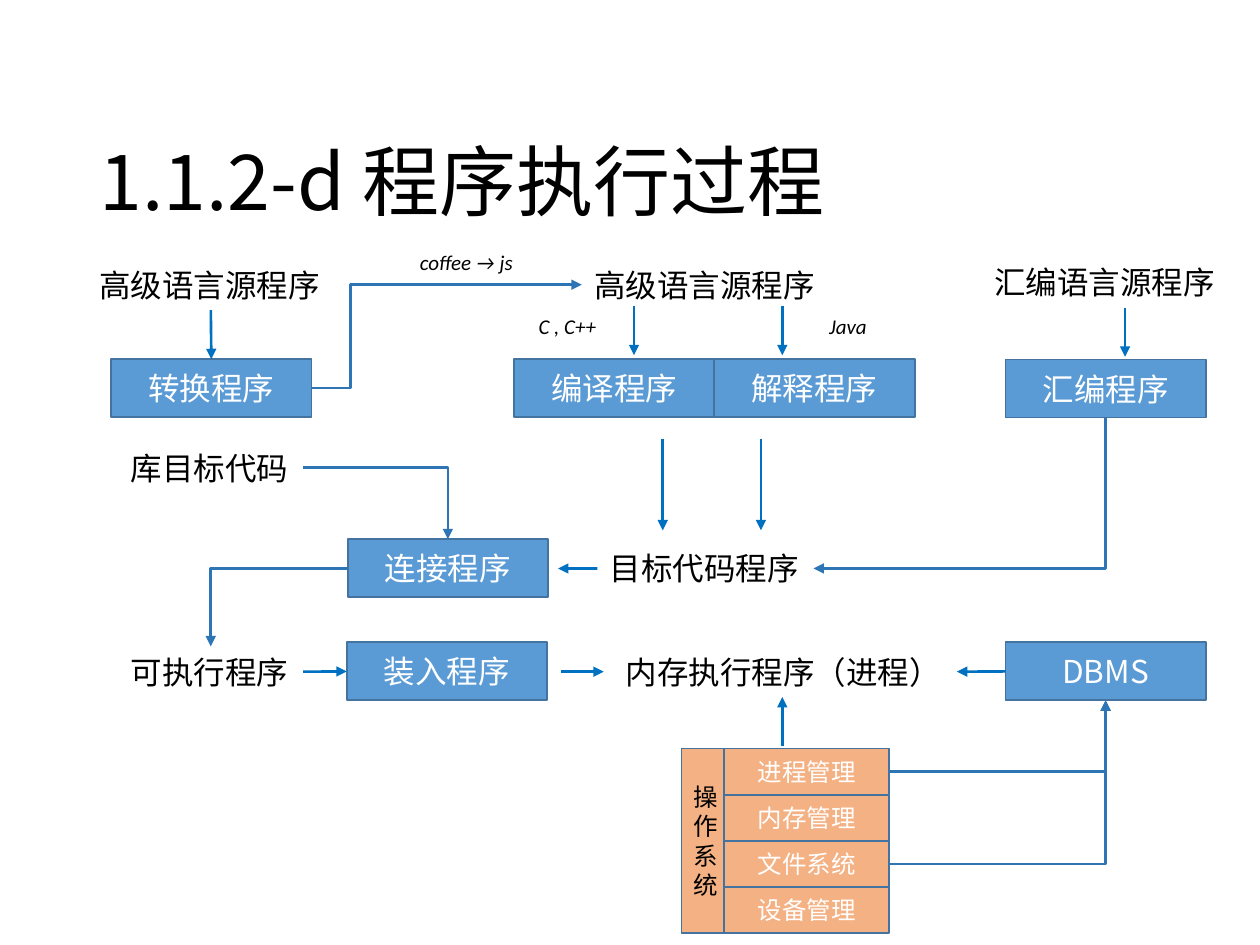
from pptx import Presentation
from pptx.dml.color import RGBColor
from pptx.enum.shapes import MSO_CONNECTOR, MSO_SHAPE
from pptx.enum.text import MSO_ANCHOR, MSO_AUTO_SIZE, PP_ALIGN
from pptx.oxml.ns import qn
from pptx.util import Cm, Pt
from lxml.etree import SubElement

CJK, LATIN = "Noto Sans CJK SC", "Calibri"
BLUE, ORANGE, EDGE = "5B9BD5", "F4B183", "43739E"
ARROW, ELBOW = "0070C0", "2E75B6"
WHITE, BLACK = "FFFFFF", "000000"
TOP, LEFT, BOTTOM, RIGHT = range(4)


def rgb(value):
    """Turn a hex string into a colour."""
    return RGBColor.from_string(value)


def write(tf, text, size, color, font=CJK, align=None, italic=None):
    """Put one formatted line of text into a frame."""
    tf.text = text
    p = tf.paragraphs[0]
    p.alignment = align
    r = p.runs[0]
    r.font.size, r.font.name, r.font.italic = Pt(size), font, italic
    r.font.color.rgb = rgb(color)
    SubElement(r.font._element, qn("a:ea"), typeface=font)


def place(sp, x, y, w, h):
    """Set the position and size of a shape in centimetres."""
    sp.left, sp.top, sp.width, sp.height = Cm(x), Cm(y), Cm(w), Cm(h)


def add_box(shapes, text, x, y, w=4.04, h=1.17, fill=BLUE, size=18, color=WHITE):
    """Add a filled rectangle with centred text."""
    sp = shapes.add_shape(MSO_SHAPE.RECTANGLE, Cm(x), Cm(y), Cm(w), Cm(h))
    sp.shadow.inherit = False
    sp.fill.solid()
    sp.fill.fore_color.rgb = rgb(fill)
    sp.line.color.rgb = rgb(EDGE)
    sp.line.width = Pt(1)
    sp.text_frame.vertical_anchor = MSO_ANCHOR.MIDDLE
    write(sp.text_frame, text, size, color, align=PP_ALIGN.CENTER)
    return sp


def add_text(s, x, y, w, h, *args, **kwargs):
    """Add an unwrapped text box that fits its text."""
    sp = s.shapes.add_textbox(Cm(x), Cm(y), Cm(w), Cm(h))
    tf = sp.text_frame
    tf.word_wrap = False
    tf.auto_size = MSO_AUTO_SIZE.SHAPE_TO_FIT_TEXT
    write(tf, *args, **kwargs)
    return sp


def add_label(s, text, x, y):
    """Add a label for a program form, as wide as its characters."""
    return add_text(s, x, y, 0.64 * len(text) + 0.52, 1.02, text, 18, BLACK)


def add_note(s, text, x, y, w):
    """Add a small italic note beside an arrow."""
    return add_text(s, x, y, w, 0.76, text, 12, BLACK, LATIN, PP_ALIGN.CENTER, True)


def add_arrow(s, start, end, color=ARROW, kind=MSO_CONNECTOR.STRAIGHT):
    """Add an arrow; each end is a (x, y) point or a (shape, side) pair."""
    free = [isinstance(e[0], (int, float)) for e in (start, end)]
    points = [Cm(v) if ok else 0 for e, ok in zip((start, end), free) for v in e]
    c = s.shapes.add_connector(kind, *points)
    if not free[0]:
        c.begin_connect(*start)
    if not free[1]:
        c.end_connect(*end)
    c.line.color.rgb = rgb(color)
    c.line.width = Pt(1.5)
    SubElement(c.line._get_or_add_ln(), qn("a:tailEnd"), type="triangle")
    SubElement(c._element.spPr, qn("a:effectLst"))
    return c


def add_elbow(s, start, end, bend=None, down_first=False):
    """Add an arrow with one corner, or with two when bend is given."""
    c = add_arrow(s, start, end, ELBOW, MSO_CONNECTOR.ELBOW)
    geom = c._element.spPr.find(qn("a:prstGeom"))
    if bend is not None:
        guides = geom.find(qn("a:avLst"))
        SubElement(guides, qn("a:gd"), name="adj1", fmla=f"val {bend}")
        return
    geom.set("prst", "bentConnector2")
    if down_first:
        shift = (c.width - c.height) // 2
        c.left, c.top = c.left + shift, c.top - shift
        c.width, c.height = c.height, c.width
        xfrm = c._element.spPr.find(qn("a:xfrm"))
        xfrm.set("rot", "5400000")
        xfrm.set("flipH", "0")


def add_title(s, text):
    """Place and format the title."""
    sp = s.shapes.title
    place(sp, 1.75, 1.02, 21.9, 3.68)
    sp.text_frame.vertical_anchor = MSO_ANCHOR.BOTTOM
    write(sp.text_frame, text, 44, BLACK, align=PP_ALIGN.LEFT)
    sp.text_frame.paragraphs[0].line_spacing = 0.9


def add_system(s, x, y):
    """Add the operating system block and return its modules."""
    shapes = s.shapes.add_group_shape().shapes
    names = ["进程管理", "内存管理", "文件系统", "设备管理"]
    h = 0.93
    modules = [add_box(shapes, name, x + 0.86, y + i * h, 3.33, h, ORANGE, 14)
               for i, name in enumerate(names)]
    add_box(shapes, "操作系统", x, y, 0.86, h * len(names), ORANGE, 14, BLACK)
    return modules


def main():
    """Build the slide."""
    prs = Presentation()
    prs.slide_width, prs.slide_height = Cm(25.4), Cm(19.05)
    s = prs.slides.add_slide(prs.slide_layouts[5])
    add_title(s, "1.1.2-d 程序执行过程")

    source = add_label(s, "高级语言源程序", 1.75, 5.23)
    target = add_label(s, "高级语言源程序", 11.73, 5.23)
    add_label(s, "汇编语言源程序", 19.79, 5.18)
    library = add_label(s, "库目标代码", 2.39, 8.92)
    code = add_label(s, "目标代码程序", 12.04, 10.95)
    executable = add_label(s, "可执行程序", 2.39, 13.03)
    process = add_label(s, "内存执行程序（进程）", 12.37, 13.03)

    converter = add_box(s.shapes, "转换程序", 2.24, 7.24)
    add_box(s.shapes, "编译程序", 10.36, 7.24)
    add_box(s.shapes, "解释程序", 14.4, 7.24)
    assembler = add_box(s.shapes, "汇编程序", 20.27, 7.25)
    linker = add_box(s.shapes, "连接程序", 7.01, 10.87)
    loader = add_box(s.shapes, "装入程序", 6.99, 12.95)
    dbms = add_box(s.shapes, "DBMS", 20.27, 12.95)
    modules = add_system(s, 13.74, 15.09)

    add_note(s, "coffee → js ", 8.18, 4.9, 2.54)
    add_note(s, "C , C++", 10.59, 6.2, 1.7)
    add_note(s, "Java", 16.46, 6.2, 1.27)

    for x, y1, y2 in [(12.78, 6.17, 7.16), (15.77, 6.17, 7.16), (22.68, 6.2, 7.19),
                      (13.36, 8.84, 10.69), (15.34, 8.84, 10.69),
                      (15.77, 15.04, 14.05)]:
        add_arrow(s, (x, y1), (x, y2))
    add_arrow(s, (source, BOTTOM), (converter, TOP))
    add_arrow(s, (code, LEFT), (11.25, 11.46))
    add_arrow(s, (executable, RIGHT), (loader, LEFT))
    add_arrow(s, (11.3, 13.54), (12.17, 13.54))
    add_arrow(s, (dbms, LEFT), (process, RIGHT))

    add_elbow(s, (converter, RIGHT), (target, LEFT), bend=14400)
    add_elbow(s, (assembler, BOTTOM), (code, RIGHT), down_first=True)
    add_elbow(s, (library, RIGHT), (linker, TOP))
    add_elbow(s, (linker, LEFT), (executable, TOP))
    for module in (modules[0], modules[2]):
        add_elbow(s, (module, RIGHT), (dbms, BOTTOM))

    prs.save("out.pptx")


if __name__ == "__main__":
    main()
